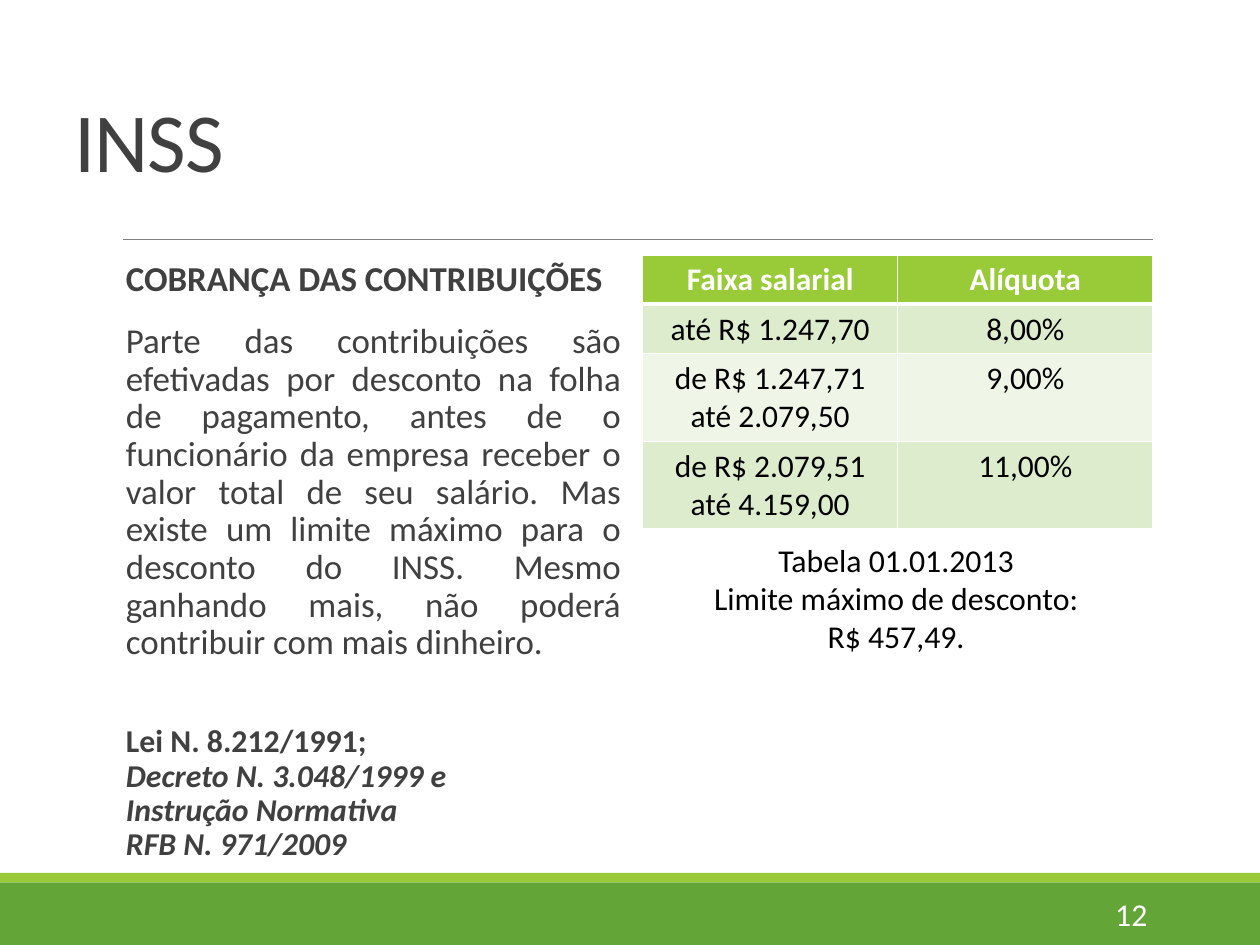
from pptx import Presentation, util as u
from pptx.dml.color import RGBColor
from pptx.enum import shapes as s, text as t
from pptx.oxml import parse_xml
from pptx.oxml.ns import nsdecls

THEME = dict(
    font="Calibri", ink="404040", black="000000", white="FFFFFF", rule="808080",
    green="63A537", lime="99CB38", bands=("DEECCE", "EFF6E8"),
    title=52.9, body=22, note=20, cell=19.8,
)
SIZE = (28, 21)
TITLE = "INSS"
HEAD = "COBRANÇA DAS CONTRIBUIÇÕES"
BODY = (
    "Parte das contribuições são efetivadas por desconto na folha de pagamento, "
    "antes de o funcionário da empresa receber o valor total de seu salário. "
    "Mas existe um limite máximo para o desconto do INSS. "
    "Mesmo ganhando mais, não poderá contribuir com mais dinheiro."
)
LAW = "Lei N. 8.212/1991;"
RULES = ("Decreto N. 3.048/1999 e", "Instrução Normativa", "RFB N. 971/2009")
RATES = (
    ("Faixa salarial", "Alíquota"),
    ("até R$ 1.247,70", "8,00%"),
    ("de R$ 1.247,71 até 2.079,50", "9,00%"),
    ("de R$ 2.079,51 até 4.159,00", "11,00%"),
)
ROWS = (1.09, 1.09, 1.95, 1.95)
DATE = "Tabela 01.01.2013"
LIMIT = ("Limite máximo de desconto:", "R$ 457,49.")
PAGE = "12"
LEFT, RIGHT, MID = t.PP_ALIGN.LEFT, t.PP_ALIGN.RIGHT, t.PP_ALIGN.CENTER
FULL = t.PP_ALIGN.JUSTIFY


def cms(*vals):
    return [u.Cm(v) for v in vals]


def tint(name):
    return RGBColor.from_string(name)


def para(frame, align, first=False, lead=1, before=0, after=0):
    p = frame.paragraphs[0] if first else frame.add_paragraph()
    p.alignment, p.line_spacing = align, lead
    p.space_before, p.space_after = u.Pt(before), u.Pt(after)
    return p


def write(p, lines, size, color, bold=False, italic=False):
    for i, line in enumerate(lines):
        if i:
            p.add_line_break()
        r = p.add_run()
        r.text = line
        f = r.font
        f.name, f.size, f.bold, f.italic = THEME["font"], u.Pt(size), bold, italic
        f.color.rgb = tint(color)
    return r


def box(slide, area, pads=(0.25, 0.13, 0.25, 0.13), anchor=t.MSO_ANCHOR.TOP):
    f = slide.shapes.add_textbox(*cms(*area)).text_frame
    f.word_wrap, f.vertical_anchor = True, anchor
    f.margin_left, f.margin_top, f.margin_right, f.margin_bottom = cms(*pads)
    return f


def frame(slide):
    for top, high, name in ((19.61, 1.39, "green"), (19.4, 0.21, "lime")):
        bar = slide.shapes.add_shape(s.MSO_SHAPE.RECTANGLE, *cms(0, top, SIZE[0], high))
        bar.shadow.inherit = False
        bar.fill.solid()
        bar.fill.fore_color.rgb = tint(THEME[name])
        bar.line.fill.background()
    rule = slide.shapes.add_connector(s.MSO_CONNECTOR.STRAIGHT, *cms(2.74, 5.33, 25.63, 5.33))
    rule.line.color.rgb = tint(THEME["rule"])
    rule.line.width = u.Pt(0.5)
    rule._element.spPr.append(parse_xml(f"<a:effectLst {nsdecls('a')}/>"))


def edge(cell, head):
    props = cell._tc.get_or_add_tcPr()
    for i, side in enumerate("LRTB"):
        wide = u.Pt(3 if head and side == "B" else 1)
        props.insert(i, parse_xml(
            f'<a:ln{side} {nsdecls("a")} w="{wide}"><a:solidFill>'
            f'<a:srgbClr val="{THEME["white"]}"/></a:solidFill></a:ln{side}>'))


def rates(slide):
    area = cms(14.28, 5.67, 11.34, sum(ROWS))
    grid = slide.shapes.add_table(len(RATES), len(RATES[0]), *area).table
    for y, (row, high) in enumerate(zip(RATES, ROWS)):
        grid.rows[y].height = u.Cm(high)
        head = y == 0
        for x, word in enumerate(row):
            cell = grid.cell(y, x)
            cell.fill.solid()
            cell.fill.fore_color.rgb = tint(THEME["lime"] if head else THEME["bands"][(y - 1) % 2])
            edge(cell, head)
            p = para(cell.text_frame, MID, True)
            write(p, [word], THEME["cell"], THEME["white" if head else "black"], head)


def main():
    deck = Presentation()
    deck.slide_width, deck.slide_height = cms(*SIZE)
    slide = deck.slides.add_slide(deck.slide_layouts[6])
    ink, black, note = THEME["ink"], THEME["black"], THEME["note"]
    frame(slide)

    f = box(slide, (1.4, 0.84, 25.2, 3.5), (0.25, 0.1, 0.25, 0.13), t.MSO_ANCHOR.BOTTOM)
    r = write(para(f, LEFT, True, 0.85), [TITLE], THEME["title"], ink)
    r.font._element.set("spc", "-60")

    f = box(slide, (2.8, 5.67, 11, 13.64), (0, 0.13, 0, 0.13))
    write(para(f, FULL, True, 0.9, 0, 2.2), [HEAD], THEME["body"], ink, True)
    write(para(f, FULL, False, 0.9, 13.2, 2.2), [BODY], THEME["body"], ink)
    p = para(f, LEFT, False, 0.9, 37.4, 2.2)
    write(p, [LAW], note, ink, True)
    p.add_line_break()
    write(p, RULES, note, ink, True, True)

    rates(slide)

    f = box(slide, (14.2, 11.88, 11.43, 3.58))
    write(para(f, MID, True), [DATE], note, black)
    write(para(f, MID), LIMIT, note, black)

    f = box(slide, (22.73, 19.79, 3.02, 1.12), anchor=t.MSO_ANCHOR.MIDDLE)
    write(para(f, RIGHT, True, 0.93), [PAGE], note, THEME["white"])
    deck.save("out.pptx")


if __name__ == "__main__":
    main()
